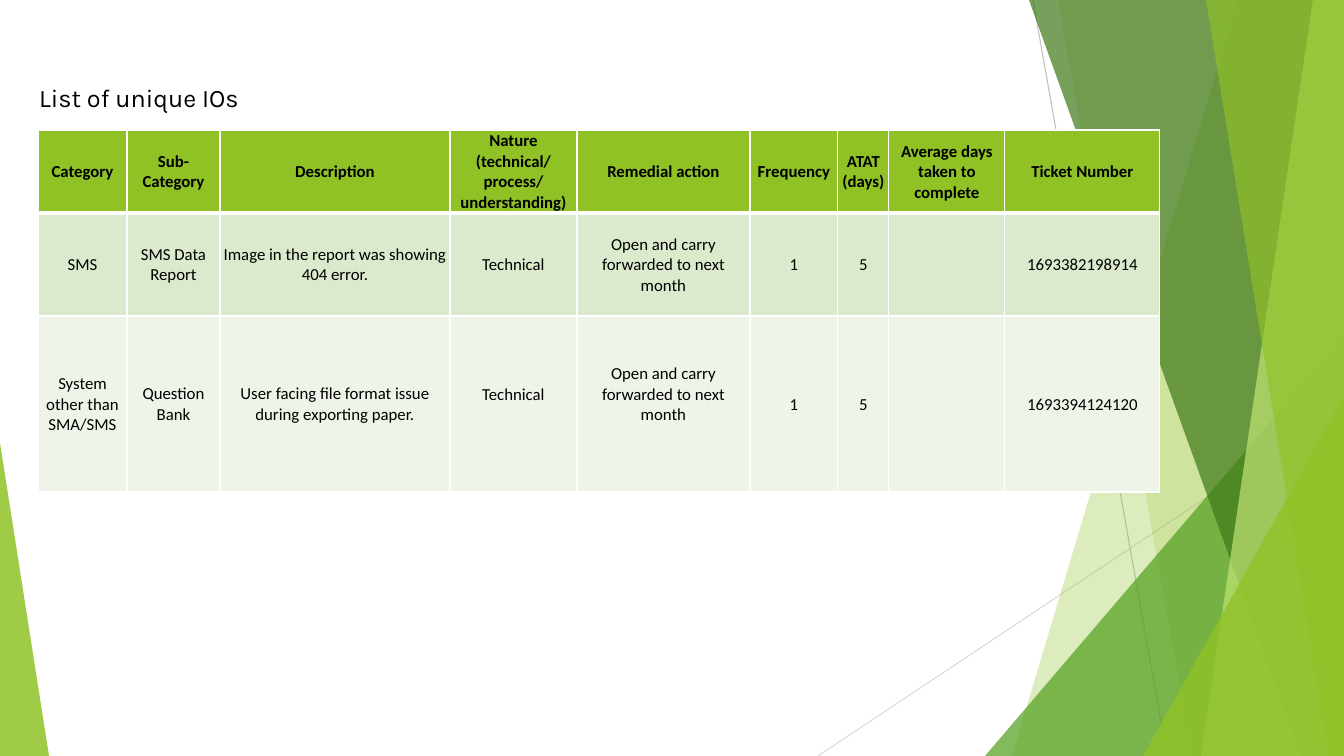
from lxml.etree import SubElement
from pptx import Presentation
from pptx.dml.color import RGBColor
from pptx.enum.shapes import MSO_CONNECTOR, MSO_SHAPE
from pptx.enum.text import MSO_ANCHOR, MSO_AUTO_SIZE, PP_ALIGN
from pptx.oxml import parse_xml
from pptx.oxml.ns import nsdecls, qn
from pptx.util import Pt

PX = 914400 / 100.8
WIDTH, HEIGHT = 1344, 756
COLORS = {
    "black": "000000", "white": "FFFFFF", "lime": "90C226", "green": "54A021",
    "forest": "3F7819", "pale lime": "C0E474", "row 1": "DBE9CD",
    "row 2": "EEF4E8", "gray": "BFBFBF", "light gray": "D9D9D9",
}


def px(length):
    return round(length * PX)


def paint(facet, color, opacity):
    facet.shadow.inherit = False
    facet.line.fill.background()
    facet.fill.solid()
    facet.fill.fore_color.rgb = RGBColor.from_string(COLORS[color])
    tint = facet.fill._xPr.find(qn("a:solidFill"))[0]
    SubElement(tint, qn("a:alpha"), val=str(opacity * 1000))


deck = Presentation()
deck.slide_width, deck.slide_height = px(WIDTH), px(HEIGHT)
slide = deck.slides.add_slide(deck.slide_layouts[5])
shapes = slide.shapes

for x1, y1, x2, y2, color in [
    (1033, 0, 1167, HEIGHT, "gray"),
    (WIDTH, 406, 818, HEIGHT, "light gray"),
]:
    ray = shapes.add_connector(MSO_CONNECTOR.STRAIGHT, px(x1), px(y1), px(x2), px(y2))
    ray.line.color.rgb = RGBColor.from_string(COLORS[color])
    ray.line.width = Pt(0.75)
    SubElement(ray._element.spPr, qn("a:effectLst"))

facets = [
    ("band", (1238, 1012), "lime", 30),
    ("band", (1058, 1192), "lime", 20),
    ("triangle", (985, 336, 359, 420, 1), "green", 72),
    ("band", (1029, 1301), "forest", 70),
    ("band", (1313, 1201), "pale lime", 70),
    ("band", (1206, 1329), "lime", 65),
    ("triangle", (1143, 396, 201, 360, 1), "lime", 80),
    ("triangle", (0, 443, 49, 313, 0), "lime", 85),
]
for kind, geometry, color, opacity in facets:
    if kind == "band":
        top_x, bottom_x = geometry
        outline = shapes.build_freeform(top_x, 0, scale=PX)
        outline.add_line_segments([(WIDTH, 0), (WIDTH, HEIGHT), (bottom_x, HEIGHT)])
        facet = outline.convert_to_shape()
    else:
        *box, apex = geometry
        facet = shapes.add_shape(MSO_SHAPE.ISOSCELES_TRIANGLE, *map(px, box))
        facet.adjustments[0] = apex
    paint(facet, color, opacity)

rows = [
    ["Category", "Sub- Category", "Description", "Nature (technical/ process/ understanding)",
     "Remedial action", "Frequency", "ATAT (days)", "Average days taken to complete",
     "Ticket Number"],
    ["SMS", "SMS Data Report", "Image in the report was showing 404 error.", "Technical",
     "Open and carry forwarded to next month", "1", "5", "", "1693382198914"],
    ["System other than SMA/SMS", "Question Bank",
     "User facing file format issue during exporting paper.", "Technical",
     "Open and carry forwarded to next month", "1", "5", "", "1693394124120"],
]
column_widths = [89, 93, 230, 127, 173, 88, 51, 116, 155]
row_heights = [83, 103, 176]
row_fills = ["lime", "row 1", "row 2"]
raised_cells = [(2, 3), (2, 4)]

incidents = shapes.add_table(
    len(rows), len(column_widths), px(38), px(130),
    px(sum(column_widths)), px(sum(row_heights)),
).table
for column, width in zip(incidents.columns, column_widths):
    column.width = px(width)
for r, entries in enumerate(rows):
    incidents.rows[r].height = px(row_heights[r])
    for c, entry in enumerate(entries):
        cell = incidents.cell(r, c)
        cell.vertical_anchor = MSO_ANCHOR.MIDDLE
        cell.margin_left = cell.margin_right = cell.margin_top = px(1)
        cell.margin_bottom = px(20 if (r, c) in raised_cells else 0)
        cell.fill.solid()
        cell.fill.fore_color.rgb = RGBColor.from_string(COLORS[row_fills[r]])
        cell.text_frame.text = entry
        paragraph = cell.text_frame.paragraphs[0]
        paragraph.alignment = PP_ALIGN.CENTER
        paragraph.font.size = Pt(12)
        paragraph.font.name = "Calibri"
        paragraph.font.bold = r == 0
        paragraph.font.color.rgb = RGBColor.from_string(COLORS["black"])
        for i, side in enumerate("LRTB"):
            under_header = (r, side) in [(0, "B"), (1, "T")]
            border = parse_xml(
                f'<a:ln{side} {nsdecls("a")} w="{Pt(3 if under_header else 1)}"><a:solidFill>'
                f'<a:srgbClr val="{COLORS["white"]}"/></a:solidFill></a:ln{side}>'
            )
            cell._tc.tcPr.insert(i, border)

title = shapes.title
title.left, title.top, title.width, title.height = px(29), px(77), px(225), px(40)
title.text_frame.text = "List of unique IOs"
title.text_frame.word_wrap = False
title.text_frame.auto_size = MSO_AUTO_SIZE.SHAPE_TO_FIT_TEXT
title.text_frame.vertical_anchor = MSO_ANCHOR.TOP
heading = title.text_frame.paragraphs[0]
heading.alignment = PP_ALIGN.LEFT
heading.font.size = Pt(18)
heading.font.name = "Karla"
heading.font.color.rgb = RGBColor.from_string(COLORS["black"])

deck.save("out.pptx")
